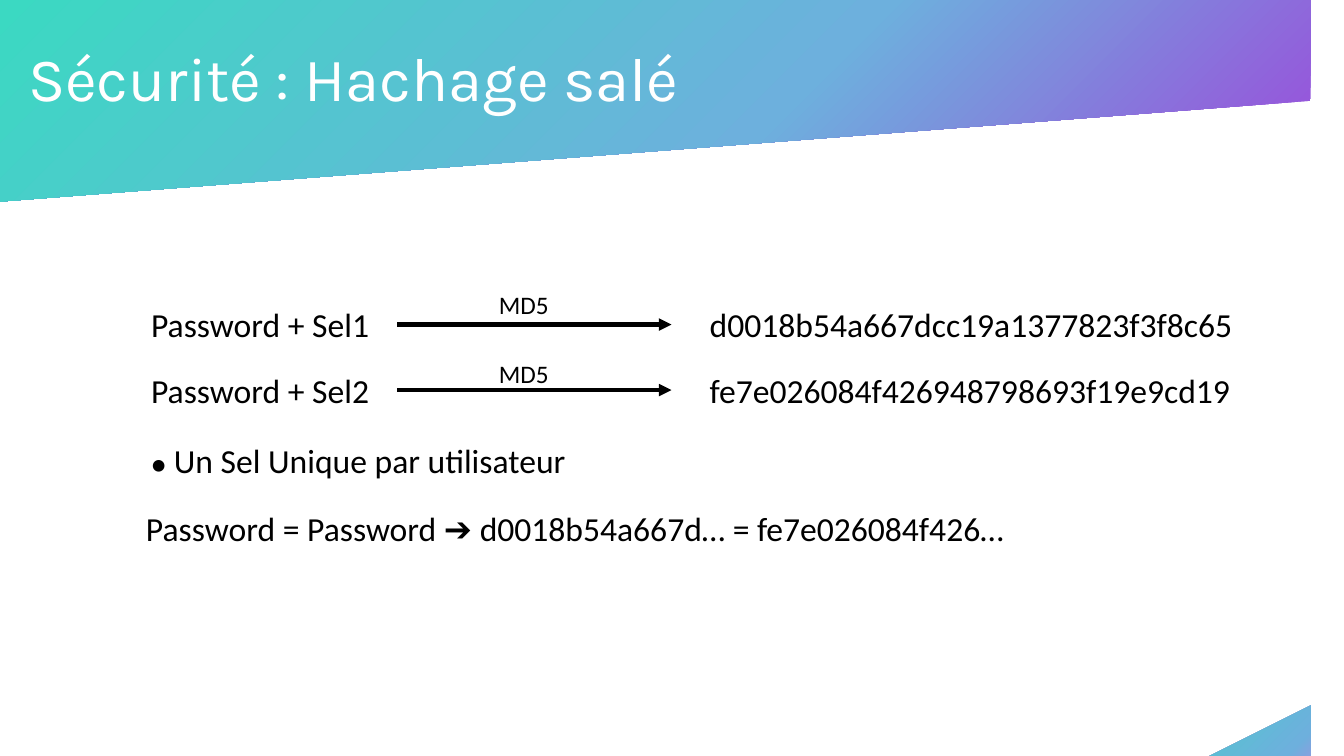
"""Build the slide on salted password hashing."""
from dataclasses import dataclass

from lxml import etree
from pptx import Presentation
from pptx.dml.color import RGBColor
from pptx.enum import shapes, text
from pptx.oxml import ns
from pptx.shapes.base import BaseShape
from pptx.slide import Slide
from pptx.util import Inches, Pt


@dataclass(frozen=True)
class Theme:
    """Fonts, colours and type sizes."""
    heading: str = "Karla"
    body: str = "Calibri"
    white: RGBColor = RGBColor(255, 255, 255)
    black: RGBColor = RGBColor(0, 0, 0)
    teal: str = "3BD9C2"
    blue: str = "6DB0DD"
    purple: str = "9657DB"
    lilac: str = "BD85E3"
    title_size: int = 44
    body_size: int = 24
    small_size: int = 18
    arrow_width: int = 3


THEME = Theme()


@dataclass(frozen=True)
class Band:
    """A coloured wedge: its corners in inches and its gradient stops."""
    corners: tuple[tuple[float, float], ...]
    stops: tuple[tuple[int, str], ...]


@dataclass(frozen=True)
class Label:
    """A text with its place in inches and its style."""
    wording: str
    left: float
    top: float
    width: float
    height: float = 0.5
    size: int = THEME.body_size
    font: str = THEME.body
    color: RGBColor = THEME.black


@dataclass(frozen=True)
class Hashing:
    """A salted password, its hash and the tops of the row and its arrow label."""
    salted: str
    digest: str
    top: float
    method_top: float


BANDS = (
    Band(((0, 0), (13.33, 0), (13.33, 0.76), (0, 1.91)),
         ((0, THEME.teal), (59, THEME.blue), (94, THEME.purple))),
    Band(((11.06, 7.5), (13.33, 7.5), (13.33, 7.04)),
         ((0, THEME.teal), (75, THEME.blue), (100, THEME.lilac))),
)
TITLE = Label("Sécurité : Hachage salé", 0.18, 0.08, 11.5, 1.45,
              THEME.title_size, THEME.heading, THEME.white)
NUMBER = Label("1", 12.97, 7.1, 0.32, 0.4,
               THEME.small_size, THEME.heading, THEME.white)
HASHINGS = (
    Hashing("Password + Sel1", "d0018b54a667dcc19a1377823f3f8c65", 2.97, 2.82),
    Hashing("Password + Sel2", "fe7e026084f426948798693f19e9cd19", 3.62, 3.51),
)
COMPARISON = Label("Password = Password ➔ d0018b54a667d… = fe7e026084f426…",
                   1.35, 4.99, 9.36)
UNIQUE_SALT = Label("●", 1.4, 4.32, 11.57)


def draw_band(slide: Slide, band: Band) -> None:
    """Draw a wedge with a gradient spreading from its top left corner."""
    start, *others = band.corners
    builder = slide.shapes.build_freeform(*start, scale=Inches(1))
    builder.add_line_segments(others, close=True)
    wedge = builder.convert_to_shape()
    wedge.shadow.inherit = False
    wedge.line.fill.background()
    wedge.fill.solid()
    solid = wedge._element.spPr.find(ns.qn("a:solidFill"))
    gradient = etree.Element(ns.qn("a:gradFill"), rotWithShape="1")
    stops = etree.SubElement(gradient, ns.qn("a:gsLst"))
    for percent, color in band.stops:
        stop = etree.SubElement(stops, ns.qn("a:gs"), pos=str(percent * 1000))
        etree.SubElement(stop, ns.qn("a:srgbClr"), val=color)
    spread = etree.SubElement(gradient, ns.qn("a:path"), path="circle")
    etree.SubElement(spread, ns.qn("a:fillToRect"), r="100000", b="100000")
    solid.getparent().replace(solid, gradient)


def draw_label(slide: Slide, label: Label) -> BaseShape:
    """Draw a wrapped text and return its box."""
    box = slide.shapes.add_textbox(Inches(label.left), Inches(label.top),
                                   Inches(label.width), Inches(label.height))
    box.text_frame.word_wrap = True
    paragraph = box.text_frame.paragraphs[0]
    paragraph.add_run().text = label.wording
    paragraph.font.name = label.font
    paragraph.font.size = Pt(label.size)
    paragraph.font.color.rgb = label.color
    return box


def draw_hashing(slide: Slide, hashing: Hashing) -> None:
    """Draw a salted password, the arrow with its method, and the hash."""
    salted = draw_label(slide, Label(hashing.salted, 1.4, hashing.top, 2.54))
    draw_label(slide, Label(hashing.digest, 6.94, hashing.top, 5.52))
    middle = Inches(hashing.top + 0.25)
    arrow = slide.shapes.add_connector(shapes.MSO_CONNECTOR.STRAIGHT,
                                       Inches(3.94), middle, Inches(6.66), middle)
    arrow.begin_connect(salted, 3)
    arrow.line.color.rgb = THEME.black
    arrow.line.width = Pt(THEME.arrow_width)
    etree.SubElement(arrow.line._get_or_add_ln(), ns.qn("a:tailEnd"), type="triangle")
    etree.SubElement(arrow._element.spPr, ns.qn("a:effectLst"))
    draw_label(slide, Label("MD5", 4.85, hashing.method_top, 1.18, 0.41,
                            THEME.small_size))


def main() -> None:
    """Build and save the slide."""
    deck = Presentation()
    deck.slide_width, deck.slide_height = Inches(13.33), Inches(7.5)
    slide = deck.slides.add_slide(deck.slide_layouts[6])
    for band in BANDS:
        draw_band(slide, band)
    title = draw_label(slide, TITLE).text_frame
    title.vertical_anchor = text.MSO_ANCHOR.MIDDLE
    title.paragraphs[0].line_spacing = 0.9
    draw_label(slide, NUMBER)
    for hashing in HASHINGS:
        draw_hashing(slide, hashing)
    draw_label(slide, COMPARISON)
    remark = draw_label(slide, UNIQUE_SALT).text_frame.paragraphs[0]
    remark.runs[0].font.size = Pt(THEME.small_size)
    remark.add_run().text = " Un Sel Unique par utilisateur"
    deck.save("out.pptx")


if __name__ == "__main__":
    main()
